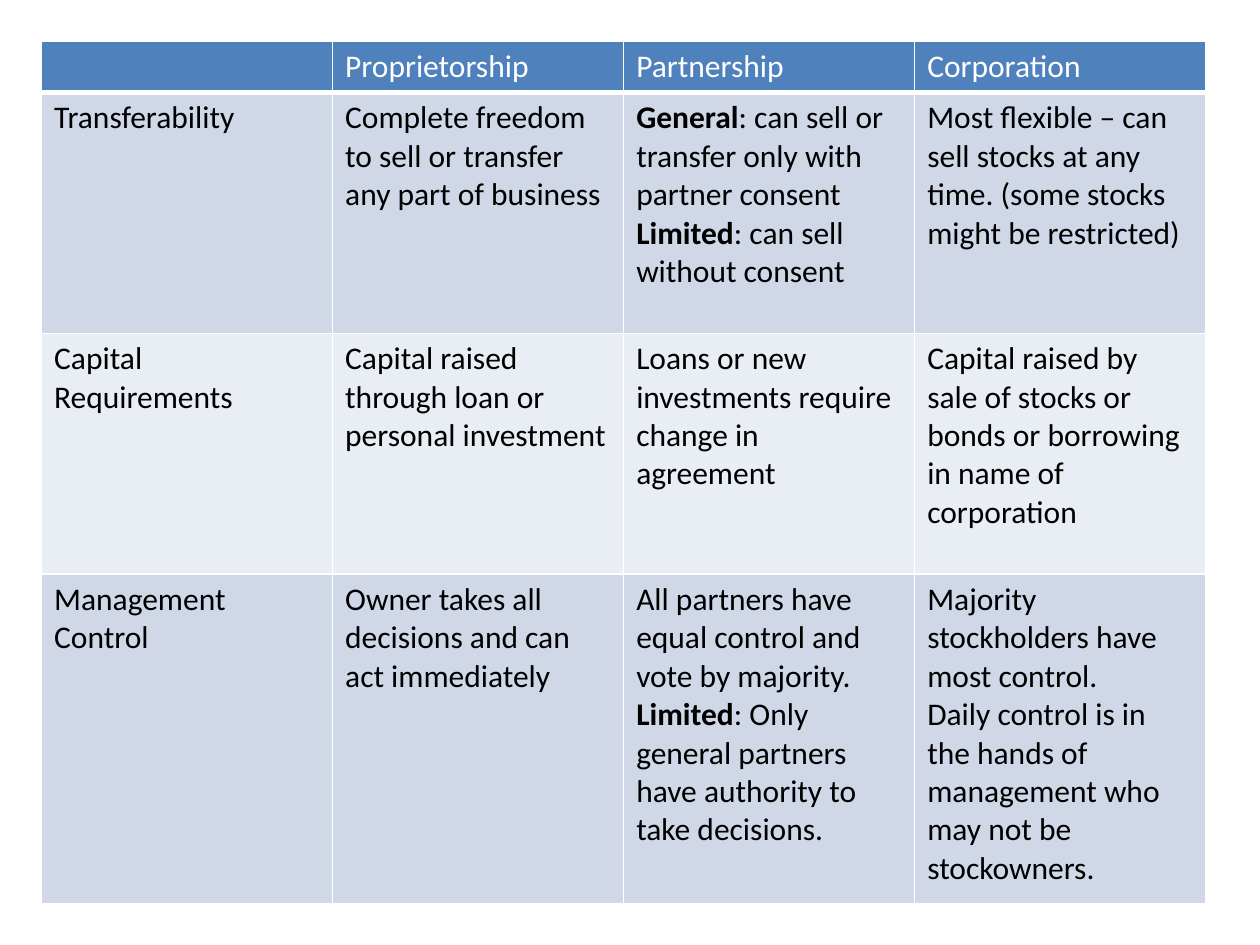
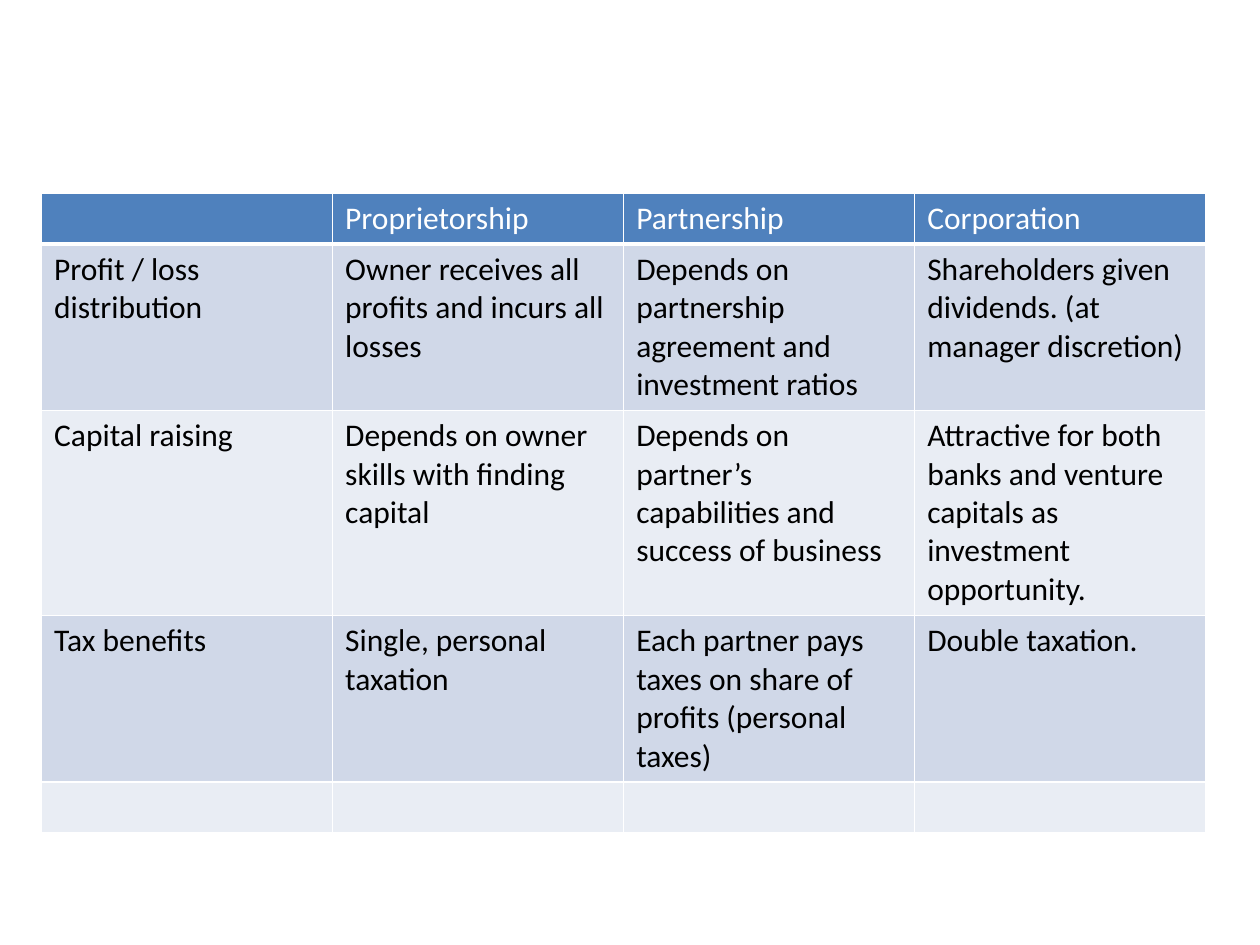
from lxml.etree import SubElement as Sub
from pptx import Presentation
from pptx.dml.color import RGBColor as RGB
from pptx.oxml.ns import qn
from pptx.util import Inches, Pt

HEAD = ["", "Proprietorship", "Partnership", "Corporation"]

# A cell is a string, or a list of paragraphs; a pair is (bold lead, rest).
LEGAL = [
    ["Transferability",
     "Complete freedom to sell or transfer any part of business",
     [("General", ": can sell or transfer only with partner consent"),
      ("Limited", ": can sell without consent")],
     "Most flexible – can sell stocks at any time. (some stocks might be restricted)"],
    ["Capital Requirements",
     "Capital raised through loan or personal investment",
     "Loans or new investments require change in agreement",
     "Capital raised by sale of stocks or bonds or borrowing in name of corporation"],
    ["Management Control",
     "Owner takes all decisions and can act immediately",
     ["All partners have equal control and vote by majority.",
      ("Limited", ": Only general partners have authority to take decisions.")],
     ["Majority stockholders have most control.",
      "Daily control is in the hands of management who may not be stockowners."]],
]
MONEY = [
    ["Profit / loss distribution",
     "Owner receives all profits and incurs all losses",
     "Depends on partnership agreement and investment ratios",
     "Shareholders given dividends. (at manager discretion)"],
    ["Capital raising",
     "Depends on owner skills with finding capital",
     "Depends on partner’s capabilities and success of business",
     "Attractive for both banks and venture capitals as investment opportunity."],
    ["Tax benefits",
     "Single, personal taxation",
     "Each partner pays taxes on share of profits (personal taxes)",
     "Double taxation."],
    [""] * 4,
]
# top of the table, height of each body row, body rows
SLIDES = [
    (0.33, [1.91, 1.91, 2.62], LEGAL),
    (1.53, [1.32, 1.63, 1.32, 0.4], MONEY),
]

WIDE, HIGH = 10, 7.5
LEFT, COL, TOP_ROW = 0.33, 2.31, 0.4
BLUE, WHITE, BLACK = "4F81BD", "FFFFFF", "000000"
BANDS = ["D0D8E8", "E9EDF4"]
FONT = {"name": "Calibri", "size": Pt(18)}


def hue(code):
    return RGB.from_string(code)


def rule(cell, low):
    """Draw white 1 pt cell borders, with the bottom one low points wide."""
    props = cell._tc.get_or_add_tcPr()
    for side, size in zip("LRTB", (1, 1, 1, low)):
        line = Sub(props, qn(f"a:ln{side}"), w=str(Pt(size)))
        Sub(Sub(line, qn("a:solidFill")), qn("a:srgbClr"), val=WHITE)


def write(cell, text, ink):
    paras = text if isinstance(text, list) else [text]
    frame = cell.text_frame
    for i, para in enumerate(paras):
        line = frame.add_paragraph() if i else frame.paragraphs[0]
        lead, rest = para if isinstance(para, tuple) else ("", para)
        for part, bold in ((lead, True), (rest, False)):
            if part:
                run = line.add_run()
                run.text = part
                for key, val in {**FONT, "bold": bold}.items():
                    setattr(run.font, key, val)
                run.font.color.rgb = hue(ink)


def chart_forms(slide, top, body, rows):
    """Add the table that compares the forms of business."""
    highs = [TOP_ROW, *body]
    box = [Inches(n) for n in (LEFT, top, COL * len(HEAD), sum(highs))]
    table = slide.shapes.add_table(len(highs), len(HEAD), *box).table
    table.first_row = table.horz_banding = False
    for col in table.columns:
        col.width = Inches(COL)
    for r, (high, texts) in enumerate(zip(highs, [HEAD, *rows])):
        table.rows[r].height = Inches(high)
        fill, ink, low = (BANDS[(r - 1) % 2], BLACK, 1) if r else (BLUE, WHITE, 3)
        for c, text in enumerate(texts):
            cell = table.cell(r, c)
            rule(cell, low)
            cell.fill.solid()
            cell.fill.fore_color.rgb = hue(fill)
            write(cell, text, ink)


def main():
    deck = Presentation()
    deck.slide_width, deck.slide_height = Inches(WIDE), Inches(HIGH)
    for top, body, rows in SLIDES:
        chart_forms(deck.slides.add_slide(deck.slide_layouts[6]), top, body, rows)
    deck.save("out.pptx")


if __name__ == "__main__":
    main()
